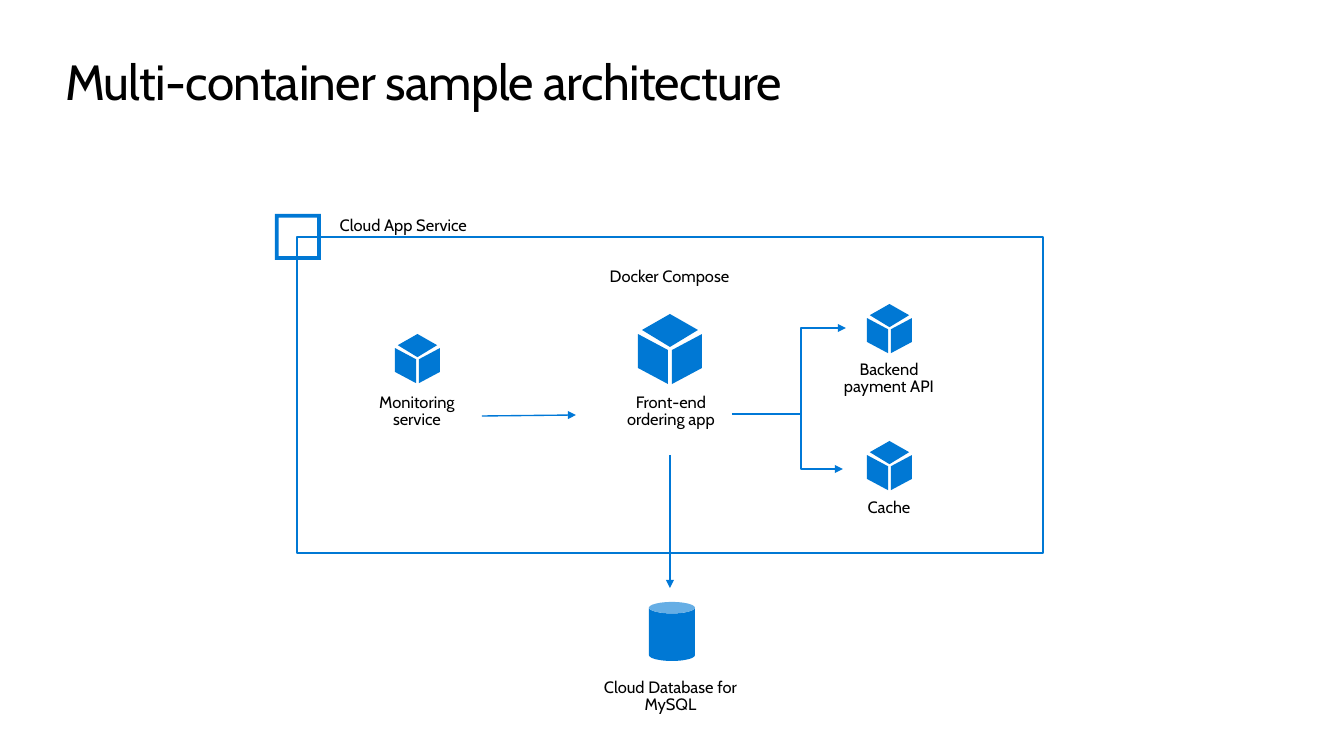
import pptx
import pptx.util
import pptx.dml.color
import pptx.enum.shapes
import pptx.enum.text
import pptx.oxml
import pptx.oxml.ns

PX = 9253  # EMU per px
BLUE = pptx.dml.color.RGBColor(0x00, 0x78, 0xD4)
ARROW_BLUE = pptx.dml.color.RGBColor(0x00, 0x78, 0xD7)
BLACK = pptx.dml.color.RGBColor(0x00, 0x00, 0x00)
FONT = "Cabin"
SHAPE = pptx.enum.shapes.MSO_SHAPE
CONNECTOR = pptx.enum.shapes.MSO_CONNECTOR
ALIGN = pptx.enum.text.PP_ALIGN


def paint(sp):
    """Solid blue, without outline or shadow."""
    sp.shadow.inherit = False
    sp.fill.solid()
    sp.fill.fore_color.rgb = BLUE
    sp.line.fill.background()


def connect(kind, points, ends=()):
    """Thin blue connector with triangles at the named ends."""
    line = s.shapes.add_connector(kind, *[v * PX for v in points])
    line.line.color.rgb = ARROW_BLUE
    line.line.width = pptx.util.Pt(1)
    for end in ends:
        arrow = pptx.oxml.parse_xml(
            f'<a:{end} {pptx.oxml.ns.nsdecls("a")} type="triangle"/>')
        line.line._get_or_add_ln().append(arrow)
    line._element.spPr.append(pptx.oxml.parse_xml(
        f'<a:effectLst {pptx.oxml.ns.nsdecls("a")}/>'))
    return line


prs = pptx.Presentation()
prs.slide_width = 1344 * PX
prs.slide_height = 756 * PX
s = prs.slides.add_slide(prs.slide_layouts[5])

# Title
title = s.shapes.title
title.left, title.top, title.width, title.height = [v * PX for v in (65, 50, 1215, 61)]
tf = title.text_frame
tf.margin_left = tf.margin_right = tf.margin_top = tf.margin_bottom = 0
tf.vertical_anchor = pptx.enum.text.MSO_ANCHOR.MIDDLE
p = tf.paragraphs[0]
p.alignment = ALIGN.LEFT
r = p.add_run()
r.text = "Multi-container sample architecture"
r._r.get_or_add_rPr().set("spc", "-50")
p.font.name = FONT
p.font.size = pptx.util.Pt(36)
p.font.color.rgb = BLACK

# Service boundary
boundary = s.shapes.add_shape(SHAPE.RECTANGLE, 297 * PX, 237 * PX, 746 * PX, 316 * PX)
boundary.shadow.inherit = False
boundary.fill.background()
boundary.line.color.rgb = BLUE
boundary.line.width = pptx.util.Pt(1)

# Service and database symbols
for kind, x, y, w, h in [(SHAPE.FRAME, 275, 214, 46, 46), (SHAPE.CAN, 649, 602, 46, 59)]:
    symbol = s.shapes.add_shape(kind, x * PX, y * PX, w * PX, h * PX)
    paint(symbol)
    if kind == SHAPE.FRAME:
        symbol.adjustments[0] = 0.08

# Labels
labels = [
    ("Cloud App Service", 330, 212, 169, 53, ALIGN.LEFT),
    ("Docker Compose", 543, 263, 253, 33, ALIGN.CENTER),
    ("Monitoring service", 352, 389, 130, 53, ALIGN.CENTER),
    ("Backend payment API", 817, 356, 144, 53, ALIGN.CENTER),
    ("Cache", 817, 494, 144, 33, ALIGN.CENTER),
    ("Front-end\nordering app", 594, 389, 154, 53, ALIGN.CENTER),
    ("Cloud Database for MySQL", 590, 674, 161, 53, ALIGN.CENTER),
]
for text, x, y, w, h, align in labels:
    tf = s.shapes.add_textbox(x * PX, y * PX, w * PX, h * PX).text_frame
    tf.word_wrap = True
    p = tf.paragraphs[0]
    p.text = text
    p.alignment = align
    p.line_spacing = 0.9
    p.space_after = pptx.util.Pt(6)
    p.font.name = FONT
    p.font.size = pptx.util.Pt(12)
    p.font.color.rgb = BLACK

# Container cubes: three faces on a 64 by 70 grid
FACES = [
    [(0, 20), (30, 36), (30, 70), (0, 54)],
    [(32, 0), (4, 16), (32, 33), (60, 16)],
    [(34, 36), (34, 70), (64, 54), (64, 20)],
]
for x, y, w in [(395, 334, 45), (867, 304, 45), (867, 441, 45), (638, 314, 64)]:
    for face in FACES:
        outline = s.shapes.build_freeform(*face[0], scale=w * PX / 64)
        outline.add_line_segments(face[1:], close=True)
        paint(outline.convert_to_shape(x * PX, y * PX))

# Arrows
connect(CONNECTOR.STRAIGHT, (482, 416, 576, 415), ["tailEnd"])
connect(CONNECTOR.STRAIGHT, (732, 414, 801, 414))
connect(CONNECTOR.STRAIGHT, (670, 455, 670, 588), ["tailEnd"])

# Fork to backend and cache, bending at x = 801
fork = connect(CONNECTOR.ELBOW, (846, 328, 843, 469), ["headEnd", "tailEnd"])
bend = (846 - 801) * 100000 // (846 - 843)
guides = fork._element.spPr.prstGeom.get_or_add_avLst()
guides.append(pptx.oxml.parse_xml(
    f'<a:gd {pptx.oxml.ns.nsdecls("a")} name="adj1" fmla="val {bend}"/>'))

prs.save("out.pptx")
